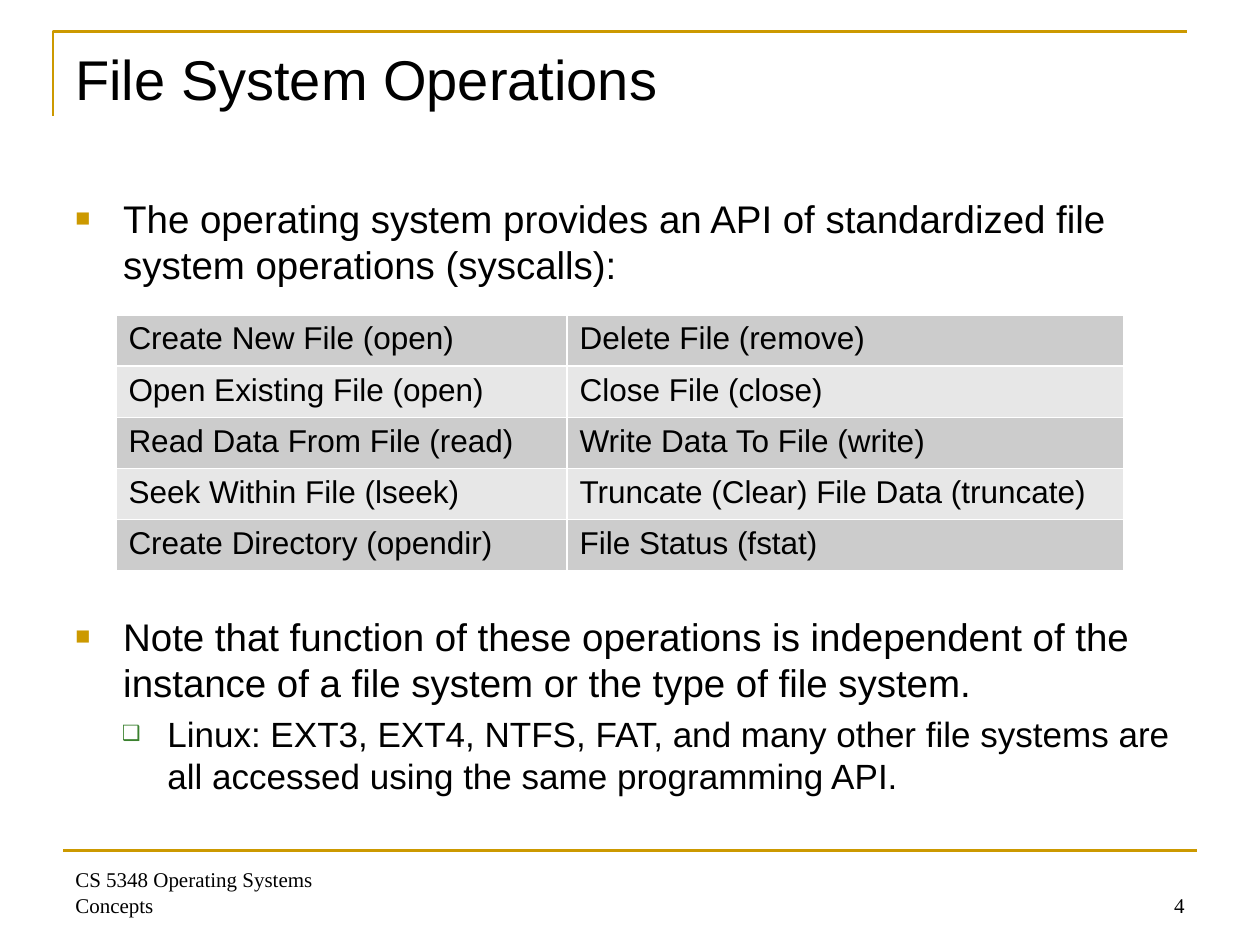
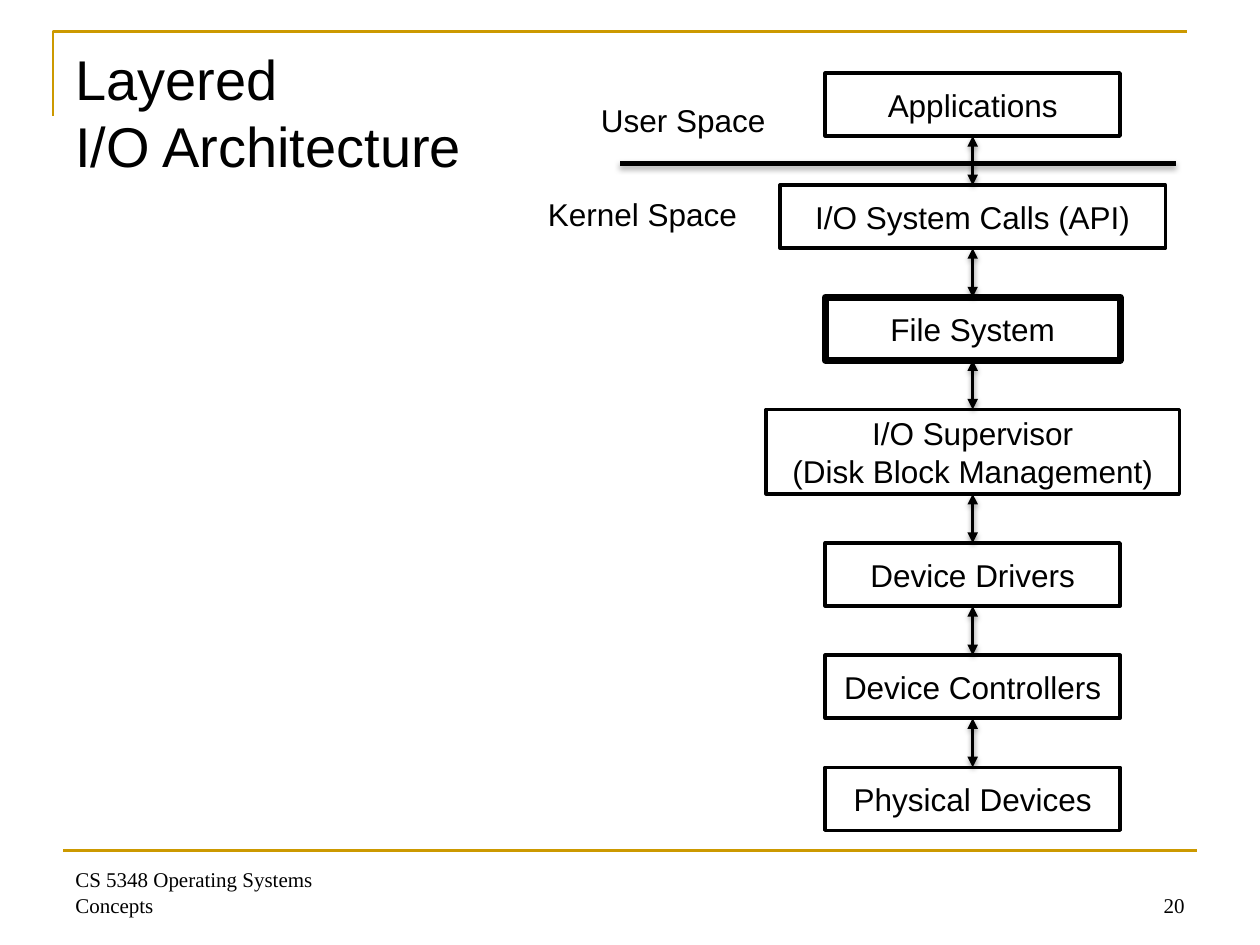
from lxml import etree
from pptx import Presentation
from pptx.dml.color import RGBColor
from pptx.enum.shapes import MSO_CONNECTOR, MSO_SHAPE
from pptx.enum.text import MSO_ANCHOR, PP_ALIGN
from pptx.oxml.ns import qn
from pptx.util import Pt

EMU_PER_PX = 9144  # 100 px to the inch
TOP, MIDDLE, BOTTOM = MSO_ANCHOR.TOP, MSO_ANCHOR.MIDDLE, MSO_ANCHOR.BOTTOM
LEFT, CENTER, RIGHT = PP_ALIGN.LEFT, PP_ALIGN.CENTER, PP_ALIGN.RIGHT
RECTANGLE = MSO_SHAPE.RECTANGLE
STRAIGHT = MSO_CONNECTOR.STRAIGHT

BLACK, WHITE, GOLD, GREEN = "000000", "FFFFFF", "CC9900", "3B812F"
ROW_BANDS = ("CCCCCC", "E7E7E7")
SANS, SERIF = "Arial", "Times New Roman"
COURSE = "CS 5348 Operating Systems Concepts"

# Per outline level: size, text indent, hanging indent, symbol, colour, symbol size
LEVELS = (
    (22, 38, 38, "■", GOLD, 65),
    (20, 73, 36, "❑", GREEN, 60),
)


def px(length):
    return int(length * EMU_PER_PX)


def color(hex_value):
    return RGBColor.from_string(hex_value)


def add_xml(parent, tag, **attributes):
    names = {name: str(value) for name, value in attributes.items()}
    return etree.SubElement(parent, qn(tag), names)


class Deck:
    """Holds the shared style and the slide being built."""

    def __init__(self):
        self.presentation = Presentation()
        self.presentation.slide_width = px(1000)
        self.presentation.slide_height = px(750)
        self.shapes = None

    def add_slide(self, title, number, title_width=900):
        """Start a slide with its title, gold rules and footer."""
        blank = self.presentation.slide_layouts[6]
        self.shapes = self.presentation.slides.add_slide(blank).shapes
        self.corner_rule()
        self.line((50, 675), (950, 675), GOLD, 1.5)
        self.text((50, 30, title_width, 125), title, 32)
        self.text((50, 683, 267, 50), [COURSE], 12, SERIF, anchor=BOTTOM)
        self.text((717, 683, 233, 50), [number], 12, SERIF, RIGHT, BOTTOM)

    def corner_rule(self):
        outline = self.shapes.build_freeform(42, 92, scale=EMU_PER_PX)
        outline.add_line_segments([(42, 25), (942, 25)], close=False)
        rule = outline.convert_to_shape()
        rule.shadow.inherit = False
        rule.fill.background()
        rule.line.color.rgb = color(GOLD)
        rule.line.width = Pt(1.5)

    def run(self, paragraph, words, size, font=SANS):
        run = paragraph.add_run()
        run.text = words
        run.font.size = Pt(size)
        run.font.name = font
        run.font.color.rgb = color(BLACK)

    def set_lines(self, frame, lines, size, font=SANS, align=LEFT):
        """Put the lines into one paragraph, separated by line breaks."""
        paragraph = frame.paragraphs[0]
        paragraph.alignment = align
        for index, words in enumerate(lines):
            if index:
                paragraph.add_line_break()
            self.run(paragraph, words, size, font)

    def frame(self, area, anchor=TOP, wrap=True):
        frame = self.shapes.add_textbox(*map(px, area)).text_frame
        frame.word_wrap = wrap
        frame.vertical_anchor = anchor
        return frame

    def text(self, area, lines, size, font=SANS, align=LEFT, anchor=TOP, wrap=True):
        self.set_lines(self.frame(area, anchor, wrap), lines, size, font, align)

    def bullets(self, area, items):
        """Add items given as (level, space before in points, words)."""
        frame = self.frame(area)
        for index, (level, space, words) in enumerate(items):
            size, indent, hanging, symbol, tint, percent = LEVELS[level]
            paragraph = frame.add_paragraph() if index else frame.paragraphs[0]
            paragraph.level = level
            paragraph.space_before = Pt(space)
            self.run(paragraph, words, size)
            properties = paragraph._p.get_or_add_pPr()
            properties.set("marL", str(px(indent)))
            properties.set("indent", str(-px(hanging)))
            add_xml(add_xml(properties, "a:buClr"), "a:srgbClr", val=tint)
            add_xml(properties, "a:buSzPct", val=percent * 1000)
            add_xml(properties, "a:buFont", typeface=SANS)
            add_xml(properties, "a:buChar", char=symbol)

    def box(self, area, lines, border):
        box = self.shapes.add_shape(RECTANGLE, *map(px, area))
        box.shadow.inherit = False
        box.fill.solid()
        box.fill.fore_color.rgb = color(WHITE)
        box.line.color.rgb = color(BLACK)
        box.line.width = Pt(border)
        box.text_frame.word_wrap = True
        box.text_frame.vertical_anchor = MIDDLE
        self.set_lines(box.text_frame, lines, 18, align=CENTER)

    def line(self, start, end, tint, width, arrows=False, shadow=None):
        """Draw a line; shadow is (opacity percent, distance in points)."""
        line = self.shapes.add_connector(STRAIGHT, *map(px, start + end))
        line.line.color.rgb = color(tint)
        line.line.width = Pt(width)
        properties = line._element.spPr
        if arrows:
            for end_tag in ("a:headEnd", "a:tailEnd"):
                add_xml(properties.find(qn("a:ln")), end_tag, type="triangle")
        effects = add_xml(properties, "a:effectLst")
        if shadow:
            opacity, distance = shadow
            outer = add_xml(effects, "a:outerShdw", blurRad=Pt(3.1),
                            dist=Pt(distance), dir=90 * 60000, rotWithShape=0)
            shade = add_xml(outer, "a:srgbClr", val=BLACK)
            add_xml(shade, "a:alpha", val=opacity * 1000)

    def table(self, area, widths, rows):
        table = self.shapes.add_table(len(rows), len(widths), *map(px, area)).table
        table.first_row = table.horz_banding = False
        for column, width in zip(table.columns, widths):
            column.width = px(width)
        for row, entries in enumerate(rows):
            for column, words in enumerate(entries):
                cell = table.cell(row, column)
                self.cell_borders(cell)
                cell.fill.solid()
                cell.fill.fore_color.rgb = color(ROW_BANDS[row % 2])
                self.set_lines(cell.text_frame, [words], 18)

    def cell_borders(self, cell):
        properties = cell._tc.get_or_add_tcPr()
        for side in "LRTB":
            border = add_xml(properties, f"a:ln{side}", w=Pt(1))
            add_xml(add_xml(border, "a:solidFill"), "a:srgbClr", val=WHITE)


def add_operations(deck):
    deck.add_slide(["File System Operations"], "4")
    deck.bullets((50, 150, 900, 520), [
        (0, 4.4, "The operating system provides an API of standardized file "
                 "system operations (syscalls):"),
        # The wide space leaves room for the table
        (0, 186, "Note that function of these operations is independent of the "
                 "instance of a file system or the type of file system."),
        (1, 4, "Linux: EXT3, EXT4, NTFS, FAT, and many other file systems are "
               "all accessed using the same programming API."),
    ])
    deck.table((92, 250, 800, 203), (358, 442), [
        ("Create New File (open)", "Delete File (remove)"),
        ("Open Existing File (open)", "Close File (close)"),
        ("Read Data From File (read)", "Write Data To File (write)"),
        ("Seek Within File (lseek)", "Truncate (Clear) File Data (truncate)"),
        ("Create Directory (opendir)", "File Status (fstat)"),
    ])


def add_architecture(deck):
    deck.add_slide(["Layered", "I/O Architecture"], "20", title_width=550)
    deck.line((933, 130), (492, 130), BLACK, 3, shadow=(35, 1.8))
    deck.text((467, 75, 152, 40), ["User Space"], 18, wrap=False)
    deck.text((425, 150, 172, 40), ["Kernel Space"], 18, wrap=False)

    layers = [  # lines, width, height, border
        (["Applications"], 234, 50, 2),
        (["I/O System Calls (API)"], 306, 50, 2),
        (["File System"], 234, 50, 4),
        (["I/O Supervisor", "(Disk Block Management)"], 328, 67, 2),
        (["Device Drivers"], 234, 50, 2),
        (["Device Controllers"], 234, 50, 2),
        (["Physical Devices"], 234, 50, 2),
    ]
    center, top, gap = 772, 58, 39
    for index, (lines, width, height, border) in enumerate(layers):
        deck.box((center - width // 2, top, width, height), lines, border)
        if index:
            deck.line((center, top - gap), (center, top), BLACK, 2,
                      arrows=True, shadow=(38, 1.6))
        top += height + gap


def main():
    deck = Deck()
    add_operations(deck)
    add_architecture(deck)
    deck.presentation.save("out.pptx")


if __name__ == "__main__":
    main()
